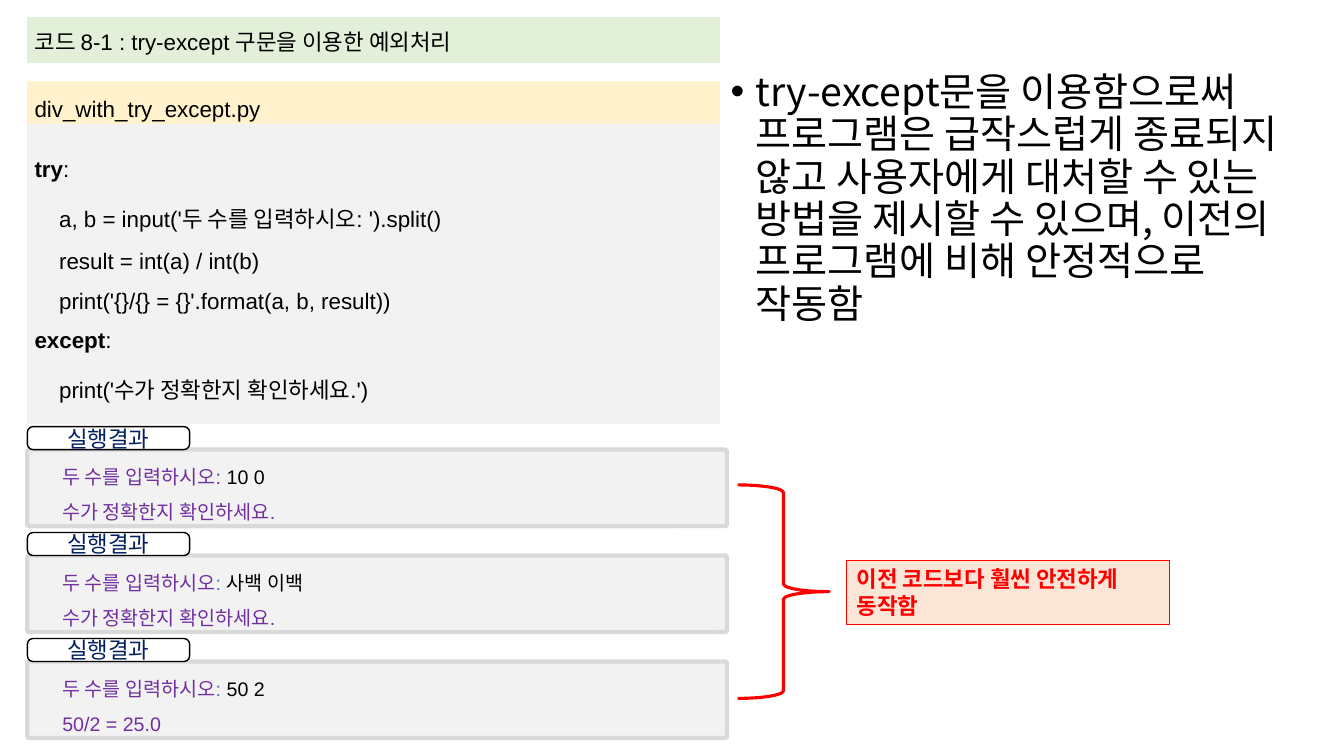
from lxml.etree import SubElement
from pptx import Presentation
from pptx.dml.color import RGBColor
from pptx.enum.shapes import MSO_SHAPE as Shape
from pptx.enum.text import MSO_ANCHOR as Anchor, PP_ALIGN as Align
from pptx.oxml.ns import qn
from pptx.util import Cm, Pt

LATIN, KOREAN = "Arial", "Noto Sans CJK KR"
BLACK, RED, PURPLE, BLUE = "000000", "FF0000", "7030A0", "4472C4"
GRAY, NO_STYLE = "F2F2F2", "{2D5ABB26-0587-4C30-8999-92F81FD0307C}"
LEFT, RESULT_TOP, RESULT_STEP = 0.69, 11.33, 2.67

CODE = [
    (0, [("try", True), (":", False)]),
    (1, [("a, b = input('두 수를 입력하시오: ').split()", False)]),
    (1, [("result = int(a) / int(b)", False)]),
    (1, [("print('{}/{} = {}'.format(a, b, result))", False)]),
    (0, [("except", True), (":", False)]),
    (1, [("print('수가 정확한지 확인하세요.')", False)]),
]
RESULTS = [
    (PURPLE, "10 0", "수가 정확한지 확인하세요."),
    (BLUE, "사백 이백", "수가 정확한지 확인하세요."),
    (BLUE, "50 2", "50/2 = 25.0"),
]


def rgb(value):
    """Turn a hex string into a colour."""
    return RGBColor.from_string(value)


def next_para(frame):
    """Return the first paragraph while it is empty, else a new one."""
    first = frame.paragraphs[0]
    return frame.add_paragraph() if first.runs else first


def write(frame, text, size, color=BLACK, font=LATIN, align=Align.LEFT, spacing=1.0):
    """Add one paragraph with a shared font and return it."""
    para = next_para(frame)
    para.alignment, para.line_spacing = align, spacing
    para.font.size, para.font.name = Pt(size), font
    if color:
        para.font.color.rgb = rgb(color)
    if text:
        para.add_run().text = text
    return para


def add_spans(para, spans):
    """Add runs that each have their own colour."""
    for text, color in spans:
        span = para.add_run()
        span.text = text
        span.font.color.rgb = rgb(color)


def add_box(shapes, kind, place, fill, line, width):
    """Add a preset shape without shadow."""
    box = shapes.add_shape(kind, *map(Cm, place))
    box.shadow.inherit = False
    if fill:
        box.fill.solid()
        box.fill.fore_color.rgb = rgb(fill)
    else:
        box.fill.background()
    box.line.color.rgb = rgb(line)
    box.line.width = Pt(width)
    box.text_frame.word_wrap = True
    return box


def add_body(page):
    """Fill the body placeholder with the bulleted summary."""
    page.shapes.title.element.getparent().remove(page.shapes.title.element)
    body = page.placeholders[1]
    body.left, body.top, body.width, body.height = map(Cm, (18.16, 1.7, 14.33, 12.09))
    text = ("try-except문을 이용함으로써 프로그램은 급작스럽게 종료되지 않고 사용자에게 "
            "대처할 수 있는 방법을 제시할 수 있으며, 이전의 프로그램에 비해 안정적으로 작동함")
    para = write(body.text_frame, text, 28, font=KOREAN, spacing=0.9)
    para.space_before = Pt(10)
    props = para.font._element.getparent()
    props.set("marL", str(Cm(0.63)))
    props.set("indent", str(-Cm(0.63)))
    bullet = props.makeelement(qn("a:buChar"), {"char": "•"})
    para.font._element.addprevious(bullet)


def add_code_table(page):
    """Add the table with heading, file name and code."""
    heights = (1.17, 0.43, 1.09, 7.54)
    fills = ("E2F0D9", None, "FFF2CC", GRAY)
    frame = page.shapes.add_table(4, 1, Cm(LEFT), Cm(0.43), Cm(17.45), Cm(sum(heights)))
    table = frame.table
    table.first_row = table.horz_banding = False
    table._tbl.tblPr.find(qn("a:tableStyleId")).text = NO_STYLE
    cells = [row.cells[0] for row in table.rows]
    for row, cell, height, fill in zip(table.rows, cells, heights, fills):
        row.height = Cm(height)
        cell.vertical_anchor = Anchor.MIDDLE
        cell.margin_left = cell.margin_right = Cm(0.18)
        cell.margin_top = cell.margin_bottom = Cm(0.05)
        if fill:
            cell.fill.solid()
            cell.fill.fore_color.rgb = rgb(fill)
        else:
            cell.fill.background()
    heading, gap, file_name, code = (cell.text_frame for cell in cells)
    write(heading, "코드 8-1 : try-except 구문을 이용한 예외처리", 16)
    SubElement(gap.paragraphs[0]._p, qn("a:endParaRPr"), sz="400")
    write(file_name, "div_with_try_except.py", 16, align=Align.JUSTIFY, spacing=1.6)
    for level, spans in CODE:
        para = write(code, "", 16, align=Align.JUSTIFY, spacing=1.6)
        para.font._element.getparent().set("marL", str(Cm(0.62 * level)))
        for text, bold in spans:
            span = para.add_run()
            span.text = text
            span.font.bold = bold


def add_result(page, top, colon_color, answer, output):
    """Add one labelled console result."""
    shapes = page.shapes.add_group_shape().shapes
    panel = add_box(shapes, Shape.ROUNDED_RECTANGLE, (LEFT, top, 17.63, 1.93), GRAY, "D9D9D9", 3)
    panel.adjustments[0] = 0.023
    tab = add_box(shapes, Shape.ROUNDED_RECTANGLE, (LEFT, top - 0.58, 4.09, 0.58), "FFFFFF", BLACK, 1)
    tab.adjustments[0] = 0.25
    tab.text_frame.vertical_anchor = Anchor.MIDDLE
    write(tab.text_frame, "실행결과", 16, "002060", align=Align.CENTER)
    console = shapes.add_textbox(Cm(1.32), Cm(top - 0.03), Cm(16.05), Cm(1.9)).text_frame
    console.word_wrap = True
    prompt = write(console, "", 14, None, spacing=1.5)
    add_spans(prompt, [("두 수를 입력하시오", PURPLE), (": ", colon_color), (answer, BLACK)])
    write(console, output, 14, PURPLE, spacing=1.5)


def add_callout(page):
    """Add the brace and the remark beside it."""
    remark = add_box(page.shapes, Shape.RECTANGLE, (21.34, 14.12, 8.13, 1.63), "FBE5D6", RED, 0.75)
    remark.text_frame.vertical_anchor = Anchor.TOP
    para = write(remark.text_frame, "이전 코드보다 훨씬 안전하게 동작함", 16, RED, KOREAN)
    para.font.bold = True
    add_box(page.shapes, Shape.RIGHT_BRACE, (18.59, 12.22, 2.31, 5.38), None, RED, 2.25)


def main():
    """Build the slide and save the deck."""
    deck = Presentation()
    deck.slide_width, deck.slide_height = Cm(33.87), Cm(19.05)
    page = deck.slides.add_slide(deck.slide_layouts[1])
    add_body(page)
    add_code_table(page)
    for index, result in enumerate(RESULTS):
        add_result(page, RESULT_TOP + index * RESULT_STEP, *result)
    add_callout(page)
    deck.save("out.pptx")


if __name__ == "__main__":
    main()
